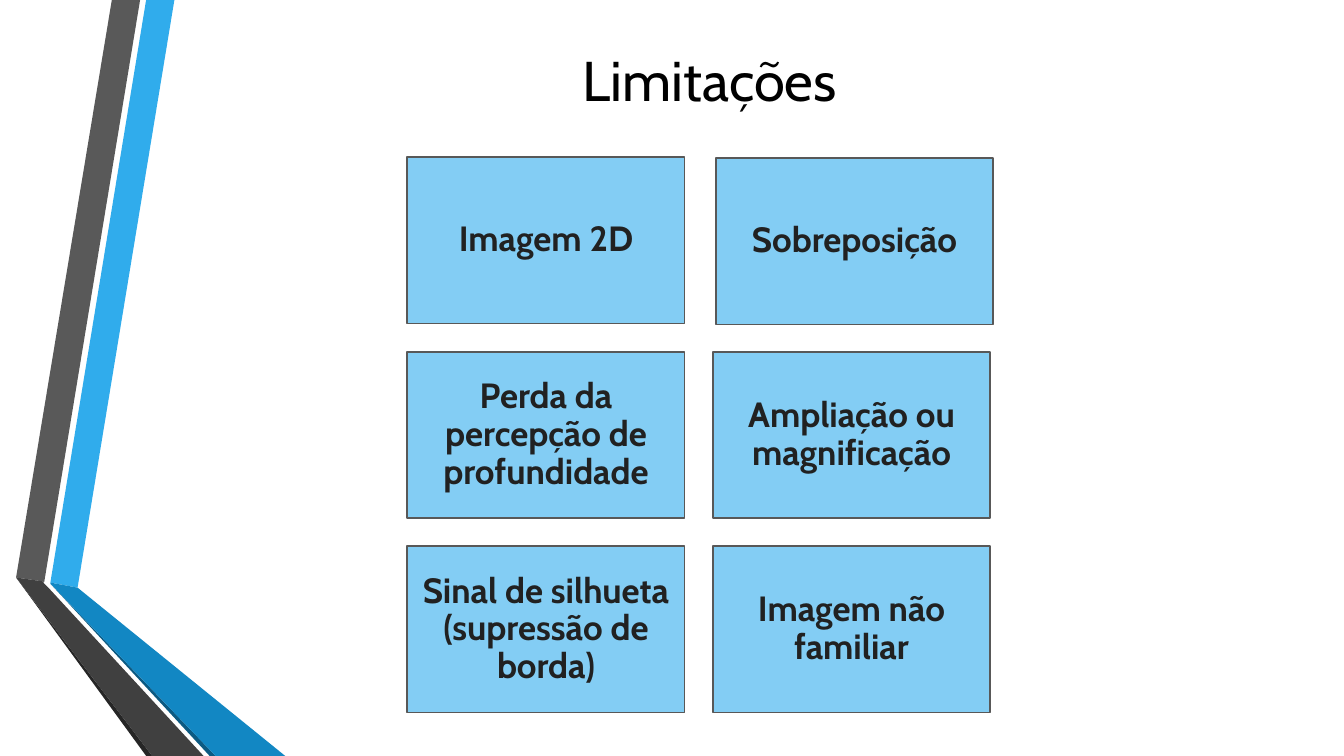
import pptx
import pptx.util
import pptx.dml.color
import pptx.enum.shapes
import pptx.enum.text

Inches, Pt = pptx.util.Inches, pptx.util.Pt


def rgb(value):
    return pptx.dml.color.RGBColor.from_string(value)


def format_text(tf, text, size, color, bold):
    tf.word_wrap = True
    tf.vertical_anchor = pptx.enum.text.MSO_ANCHOR.MIDDLE
    p = tf.paragraphs[0]
    p.text = text
    p.alignment = pptx.enum.text.PP_ALIGN.CENTER
    p.font.name = "Cabin"
    p.font.size = Pt(size)
    p.font.bold = bold
    p.font.color.rgb = rgb(color)
    return p


prs = pptx.Presentation()
prs.slide_width, prs.slide_height = Inches(13.33), Inches(7.5)
s = prs.slides.add_slide(prs.slide_layouts[5])

ribbons = [
    ("30ACEC", [(50, 578), (77, 583), (173, 0), (145, 0)]),
    ("595959", [(139, 0), (111, 0), (16, 573), (44, 577)]),
    ("262626", [(16, 573), (145, 750), (151, 750)]),
    ("0C5A82", [(50, 579), (208, 750), (214, 750)]),
    ("1287C3", [(50, 579), (214, 750), (283, 750), (77, 583), (50, 578)]),
    ("404040", [(202, 750), (48, 583), (43, 578), (44, 577), (16, 573), (151, 750)]),
]
for color, points in ribbons:
    builder = s.shapes.build_freeform(*points[0], scale=Inches(0.01))
    builder.add_line_segments(points[1:], close=True)
    sp = builder.convert_to_shape()
    sp.shadow.inherit = False
    sp.fill.solid()
    sp.fill.fore_color.rgb = rgb(color)
    sp.line.fill.background()

title = s.shapes.title
title.left, title.top = Inches(1.62), Inches(0.21)
title.width, title.height = Inches(10.96), Inches(1.15)
format_text(title.text_frame, "Limitações ", 40, "000000", False)

limitations = [
    "Imagem 2D", "Sobreposição",
    "Perda da percepção de profundidade", "Ampliação ou magnificação",
    "Sinal de silhueta (supressão de borda)", "Imagem não familiar",
]
left, top, width, height = 4.04, 1.56, 2.75, 1.65
col_step, row_step = 3.03, 1.93
nudges = {1: (0.03, 0.01)}
for i, text in enumerate(limitations):
    row, col = divmod(i, 2)
    dx, dy = nudges.get(i, (0, 0))
    sp = s.shapes.add_shape(
        pptx.enum.shapes.MSO_SHAPE.RECTANGLE,
        Inches(left + col * col_step + dx), Inches(top + row * row_step + dy),
        Inches(width), Inches(height))
    sp.shadow.inherit = False
    sp.fill.solid()
    sp.fill.fore_color.rgb = rgb("83CDF4")
    sp.line.color.rgb = rgb("585858")
    sp.line.width = Pt(1.25)
    tf = sp.text_frame
    tf.margin_left = tf.margin_right = tf.margin_top = tf.margin_bottom = Inches(0.1)
    p = format_text(tf, text, 25, "212121", True)
    p.line_spacing = 0.9

prs.save("out.pptx")
